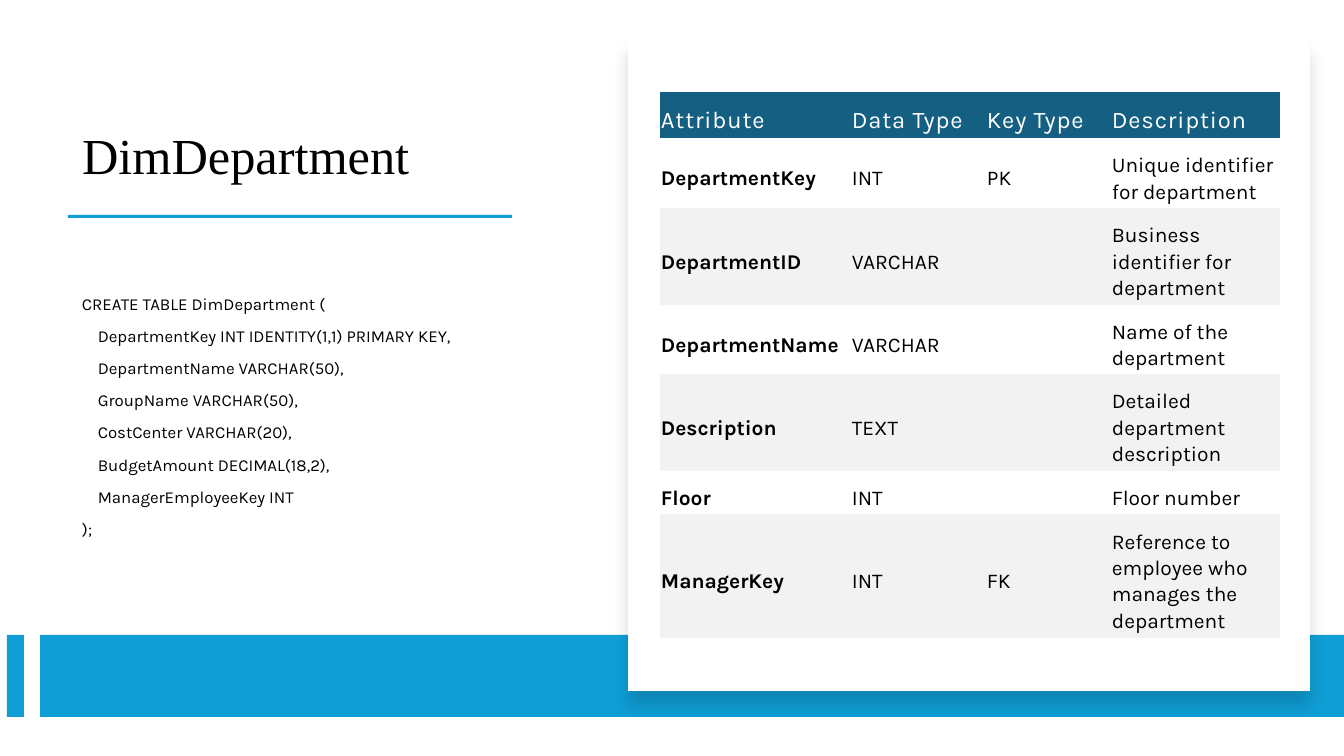
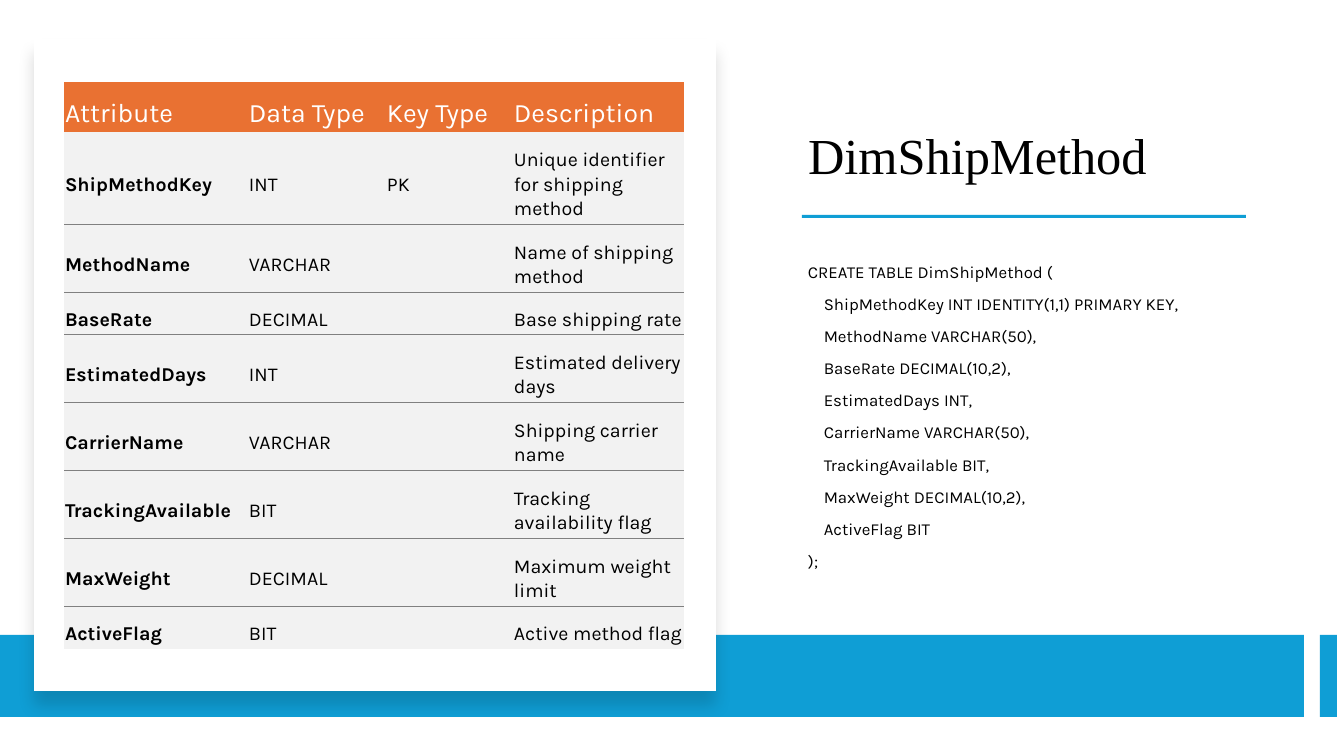
from dataclasses import dataclass

from lxml.etree import SubElement
from pptx import Presentation
from pptx.dml.color import RGBColor
from pptx.enum.shapes import MSO_SHAPE
from pptx.enum.text import MSO_ANCHOR, MSO_AUTO_SIZE, PP_ALIGN
from pptx.oxml.ns import qn
from pptx.util import Emu, Pt

PX = 914400 / 100.8
PAGE_WIDTH, PAGE_HEIGHT = 1344, 756
TITLE_ONLY = 5
PLAIN_TABLE = "{2D5ABB26-0587-4C30-8999-92F81FD0307C}"

BLACK = RGBColor(0x00, 0x00, 0x00)
WHITE = RGBColor(0xFF, 0xFF, 0xFF)
BLUE = RGBColor(0x0F, 0x9E, 0xD5)
TEAL = RGBColor(0x15, 0x60, 0x82)
ORANGE = RGBColor(0xE9, 0x71, 0x32)
PALE_GREY = RGBColor(0xF2, 0xF2, 0xF2)
LINE_GREY = RGBColor(0x80, 0x80, 0x80)

TITLE_FONT = {"name": "Times New Roman", "size": Pt(36), "bold": False}
CODE_FONT = {"name": "Karla", "size": Pt(12)}

HEADINGS = ["Attribute", "Data Type", "Key Type", "Description"]
DEPARTMENT_ROWS = [
    ["DepartmentKey", "INT", "PK", "Unique identifier for department"],
    ["DepartmentID", "VARCHAR", "", "Business identifier for department"],
    ["DepartmentName", "VARCHAR", "", "Name of the department"],
    ["Description", "TEXT", "", "Detailed department description"],
    ["Floor", "INT", "", "Floor number"],
    ["ManagerKey", "INT", "FK", "Reference to employee who manages the department"],
]
DEPARTMENT_CODE = """CREATE TABLE DimDepartment (
    DepartmentKey INT IDENTITY(1,1) PRIMARY KEY,
    DepartmentName VARCHAR(50),
    GroupName VARCHAR(50),
    CostCenter VARCHAR(20),
    BudgetAmount DECIMAL(18,2),
    ManagerEmployeeKey INT
);"""
SHIP_METHOD_ROWS = [
    ["ShipMethodKey", "INT", "PK", "Unique identifier for shipping method"],
    ["MethodName", "VARCHAR", "", "Name of shipping method"],
    ["BaseRate", "DECIMAL", "", "Base shipping rate"],
    ["EstimatedDays", "INT", "", "Estimated delivery days"],
    ["CarrierName", "VARCHAR", "", "Shipping carrier name"],
    ["TrackingAvailable", "BIT", "", "Tracking availability flag"],
    ["MaxWeight", "DECIMAL", "", "Maximum weight limit"],
    ["ActiveFlag", "BIT", "", "Active method flag"],
]
SHIP_METHOD_CODE = """CREATE TABLE DimShipMethod (
    ShipMethodKey INT IDENTITY(1,1) PRIMARY KEY,
    MethodName VARCHAR(50),
    BaseRate DECIMAL(10,2),
    EstimatedDays INT,
    CarrierName VARCHAR(50),
    TrackingAvailable BIT,
    MaxWeight DECIMAL(10,2),
    ActiveFlag BIT
);"""


@dataclass
class TableLook:
    header_fill: RGBColor
    row_fills: tuple
    header_size: int
    body_size: int
    top_inset: int
    columns: list
    rows: list
    header_spacing: int = 0
    ruled: bool = False


DEPARTMENT_LOOK = TableLook(
    TEAL, (None, PALE_GREY), 17, 15, 11,
    [191, 135, 125, 169], [46, 70, 97, 69, 97, 43, 124], header_spacing=60)
SHIP_METHOD_LOOK = TableLook(
    ORANGE, (PALE_GREY,), 19, 14, 12,
    [184, 138, 127, 171], [50, 93, 68, 42, 68, 68, 68, 68, 42], ruled=True)


def px(length):
    return Emu(round(length * PX))


def apply(target, values):
    for name, value in values.items():
        setattr(target, name, value)


def place(shape, left, top, width, height):
    apply(shape, {"left": px(left), "top": px(top),
                  "width": px(width), "height": px(height)})


def add_span(para, text, font, color):
    span = para.add_run()
    span.text = text
    apply(span.font, font)
    span.font.color.rgb = color
    return span


def add_rectangle(page, left, top, width, height, color):
    shape = page.shapes.add_shape(
        MSO_SHAPE.RECTANGLE, px(left), px(top), px(width), px(height))
    shape.fill.solid()
    shape.fill.fore_color.rgb = color
    shape.line.fill.background()
    shape.shadow.inherit = False
    return shape


def add_text_column(page, left, rule_left, title, code):
    """Place the title, the rule below it and the code listing."""
    heading = page.shapes.title
    place(heading, left, 58, 472, 132)
    listing = page.shapes.add_textbox(px(left), px(224), px(472), px(387))
    for box, anchor in ((heading, MSO_ANCHOR.BOTTOM), (listing, MSO_ANCHOR.MIDDLE)):
        apply(box.text_frame, {"word_wrap": True, "vertical_anchor": anchor,
                               "auto_size": MSO_AUTO_SIZE.NONE})

    para = heading.text_frame.paragraphs[0]
    apply(para, {"alignment": PP_ALIGN.LEFT, "line_spacing": 0.9})
    add_span(para, title, TITLE_FONT, BLACK)

    add_rectangle(page, rule_left, 215, 444, 3, BLUE)

    frame = listing.text_frame
    for index, line in enumerate(code.splitlines()):
        para = frame.add_paragraph() if index else frame.paragraphs[0]
        apply(para, {"line_spacing": 0.9, "space_before": Pt(10 if index else 0)})
        add_span(para, line, CODE_FONT, BLACK)


def add_bands(page, mirrored):
    for left, width in ((7, 17), (40, 1304)):
        if mirrored:
            left = PAGE_WIDTH - left - width
        add_rectangle(page, left, 635, width, 82, BLUE)


def add_panel(page, left):
    """Place the white card with its soft shadow."""
    panel = add_rectangle(page, left, 39, 682, 652, WHITE)
    effects = panel._element.spPr.find(qn("a:effectLst"))
    shadow = SubElement(effects, qn("a:outerShdw"), blurRad=str(Pt(11)),
                        dist=str(Pt(10)), dir="5400000", algn="t", rotWithShape="0")
    color = SubElement(shadow, qn("a:srgbClr"), val=str(BLACK))
    SubElement(color, qn("a:alpha"), val="15000")


def add_cell_line(cell, side):
    line = SubElement(cell._tc.get_or_add_tcPr(), qn(f"a:ln{side}"), w=str(Pt(0.75)))
    fill = SubElement(line, qn("a:solidFill"))
    SubElement(fill, qn("a:srgbClr"), val=str(LINE_GREY))


def fill_cell(cell, text, look, is_header, is_label, fill):
    apply(cell, {"margin_left": px(1), "margin_right": px(1), "margin_bottom": px(1),
                 "margin_top": px(look.top_inset),
                 "vertical_anchor": MSO_ANCHOR.MIDDLE})
    if fill is None:
        cell.fill.background()
    else:
        cell.fill.solid()
        cell.fill.fore_color.rgb = fill
    para = cell.text_frame.paragraphs[0]
    apply(para, {"line_spacing": 1.07, "space_after": Pt(12)})
    size = look.header_size if is_header else look.body_size
    if not text:
        SubElement(para._p, qn("a:endParaRPr"), sz=str(size * 100))
        return
    font = {"name": "Karla", "size": Pt(size), "bold": is_label and not is_header}
    span = add_span(para, text, font, WHITE if is_header else BLACK)
    if is_header and look.header_spacing:
        span.font._element.set("spc", str(look.header_spacing))


def add_attribute_table(page, left, top, records, look):
    rows = [HEADINGS] + records
    frame = page.shapes.add_table(
        len(rows), len(HEADINGS), px(left), px(top),
        px(sum(look.columns)), px(sum(look.rows)))
    table = frame.table
    apply(table, {"first_row": False, "horz_banding": False})
    table._tbl.tblPr.find(qn("a:tableStyleId")).text = PLAIN_TABLE
    for column, width in zip(table.columns, look.columns):
        column.width = px(width)
    for row, height in zip(table.rows, look.rows):
        row.height = px(height)
    for y, record in enumerate(rows):
        fill = look.row_fills[(y - 1) % len(look.row_fills)] if y else look.header_fill
        for x, text in enumerate(record):
            cell = table.cell(y, x)
            if look.ruled and y > 1:
                add_cell_line(cell, "T")
            if look.ruled and 0 < y < len(rows) - 1:
                add_cell_line(cell, "B")
            fill_cell(cell, text, look, y == 0, x == 0, fill)


def add_department_page(deck):
    page = deck.slides.add_slide(deck.slide_layouts[TITLE_ONLY])
    add_text_column(page, 72, 68, "DimDepartment", DEPARTMENT_CODE)
    add_bands(page, mirrored=False)
    add_panel(page, 628)
    add_attribute_table(page, 660, 92, DEPARTMENT_ROWS, DEPARTMENT_LOOK)


def add_ship_method_page(deck):
    page = deck.slides.add_slide(deck.slide_layouts[TITLE_ONLY])
    add_text_column(page, 798, 802, "DimShipMethod", SHIP_METHOD_CODE)
    add_bands(page, mirrored=True)
    add_panel(page, 34)
    add_attribute_table(page, 64, 82, SHIP_METHOD_ROWS, SHIP_METHOD_LOOK)


def main():
    deck = Presentation()
    apply(deck, {"slide_width": px(PAGE_WIDTH), "slide_height": px(PAGE_HEIGHT)})
    add_department_page(deck)
    add_ship_method_page(deck)
    deck.save("out.pptx")


if __name__ == "__main__":
    main()
